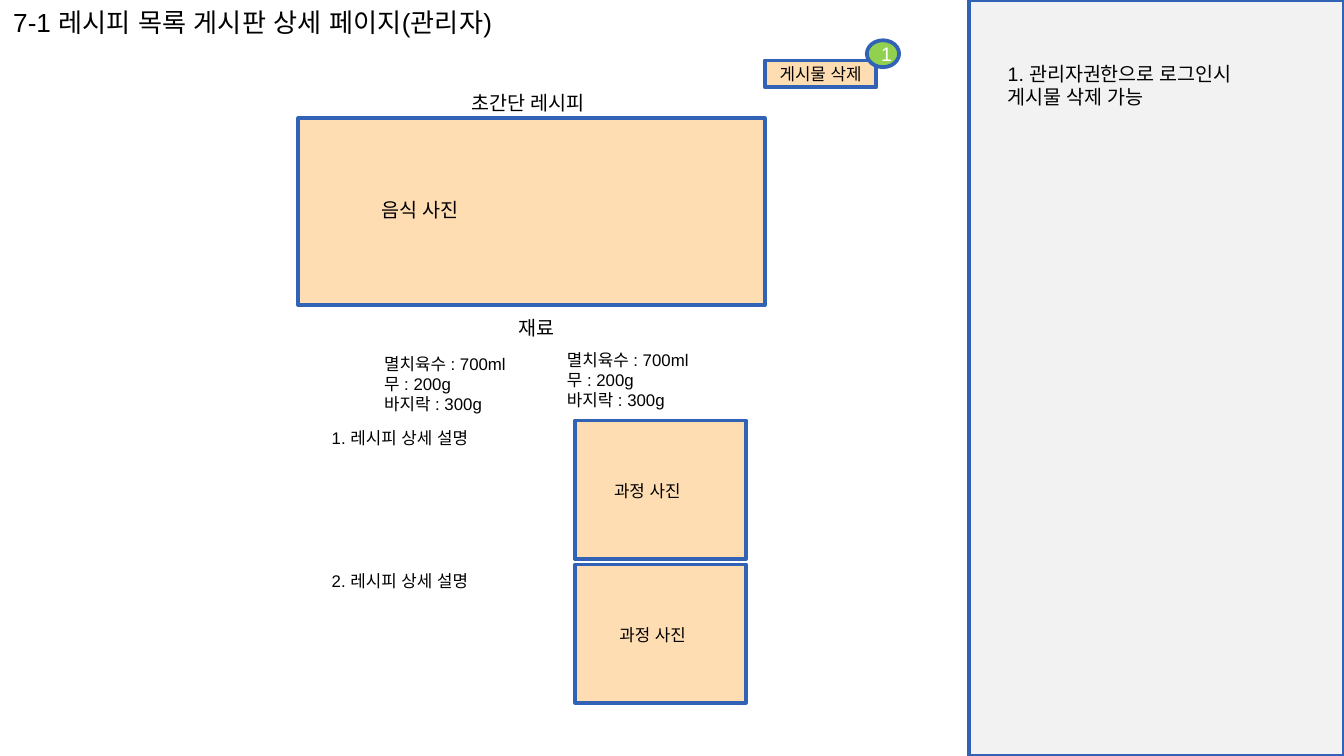
"""Build the admin recipe detail page wireframe slide."""
import lxml.etree
import pptx
import pptx.dml.color
import pptx.enum.shapes
import pptx.enum.text
import pptx.oxml.ns
import pptx.util

Inches = pptx.util.Inches
RGBColor = pptx.dml.color.RGBColor
SHAPE = pptx.enum.shapes.MSO_SHAPE
ALIGN = pptx.enum.text.PP_ALIGN
qn = pptx.oxml.ns.qn

BLACK = RGBColor(0x00, 0x00, 0x00)
WHITE = RGBColor(0xFF, 0xFF, 0xFF)
PEACH = RGBColor(0xFF, 0xDD, 0xB3)
BLUE = RGBColor(0x31, 0x62, 0xB5)
GRAY = RGBColor(0xF2, 0xF2, 0xF2)
GREEN = RGBColor(0x92, 0xD0, 0x50)

FONT = "Arial"
SLIDE_WIDTH = 10
SLIDE_HEIGHT = SLIDE_WIDTH * 9 / 16
TITLE_SIZE, HEADING_SIZE, BODY_SIZE = 14, 10.5, 9

TITLE = "7-1 레시피 목록 게시판 상세 페이지(관리자)"
INGREDIENTS = ["멸치육수 : 700ml", "무 : 200g", "바지락 : 300g"]
INGREDIENT_POSITIONS = [(2.76, 2.58), (4.12, 2.55)]
NOTES = ["1. 관리자권한으로 로그인시", "게시물 삭제 가능"]
STEPS = [("1. 레시피 상세 설명", "과정 사진", 4.47), ("2. 레시피 상세 설명", "과정 사진", 4.51)]
STEP_TOP, STEP_PITCH = 3.13, 1.07


def write(shape, lines, size, color=BLACK, alignment=ALIGN.LEFT):
    frame = shape.text_frame
    frame.text = "\n".join(lines)
    for paragraph in frame.paragraphs:
        paragraph.alignment = alignment
        paragraph.font.name = FONT
        paragraph.font.size = pptx.util.Pt(size)
        paragraph.font.color.rgb = color
        defaults = paragraph._p.pPr.find(qn("a:defRPr"))
        lxml.etree.SubElement(defaults, qn("a:ea"), typeface=FONT)


def add_label(slide, box, lines, size, wrap=False, alignment=ALIGN.LEFT):
    label = slide.shapes.add_textbox(*map(Inches, box))
    label.text_frame.word_wrap = wrap
    label.text_frame.auto_size = pptx.enum.text.MSO_AUTO_SIZE.SHAPE_TO_FIT_TEXT
    write(label, lines, size, alignment=alignment)


def add_panel(slide, box, fill=PEACH, kind=SHAPE.RECTANGLE):
    panel = slide.shapes.add_shape(kind, *map(Inches, box))
    panel.shadow.inherit = False
    panel.fill.solid()
    panel.fill.fore_color.rgb = fill
    panel.line.color.rgb = BLUE
    panel.line.width = pptx.util.Pt(2)
    return panel


def main():
    presentation = pptx.Presentation()
    presentation.slide_width = Inches(SLIDE_WIDTH)
    presentation.slide_height = Inches(SLIDE_HEIGHT)
    slide = presentation.slides.add_slide(presentation.slide_layouts[6])

    add_panel(slide, (2.22, 0.88, 3.47, 1.39))
    add_label(slide, (3.41, 0.63, 1.13, 0.28), ["초간단 레시피"], HEADING_SIZE)
    add_label(slide, (2.74, 1.42, 2.44, 0.28), ["음식 사진"], HEADING_SIZE, True, ALIGN.JUSTIFY)
    add_label(slide, (3.76, 2.3, 0.5, 0.28), ["재료"], HEADING_SIZE)
    for left, top in INGREDIENT_POSITIONS:
        add_label(slide, (left, top, 1.16, 0.56), INGREDIENTS, BODY_SIZE)

    for index, (description, caption, caption_left) in enumerate(STEPS):
        top = STEP_TOP + index * STEP_PITCH
        add_label(slide, (2.37, top, 1.3, 0.25), [description], BODY_SIZE)
        add_panel(slide, (4.28, top, 1.27, 1.03))
        add_label(slide, (caption_left, top + 0.4, 0.89, 0.25), [caption],
                  BODY_SIZE, True, ALIGN.JUSTIFY)

    add_panel(slide, (7.21, 0, 2.79, SLIDE_HEIGHT), GRAY)
    add_label(slide, (7.4, 0.41, 2.03, 0.45), NOTES, HEADING_SIZE)

    delete_button = add_panel(slide, (5.69, 0.45, 0.83, 0.2))
    write(delete_button, ["게시물 삭제"], BODY_SIZE, alignment=ALIGN.CENTER)
    badge = add_panel(slide, (6.45, 0.3, 0.24, 0.2), GREEN, SHAPE.FLOWCHART_CONNECTOR)
    write(badge, ["1"], HEADING_SIZE, WHITE, ALIGN.CENTER)

    add_label(slide, (0, 0, 5.01, 0.34), [TITLE], TITLE_SIZE, True)
    presentation.save("out.pptx")


if __name__ == "__main__":
    main()
